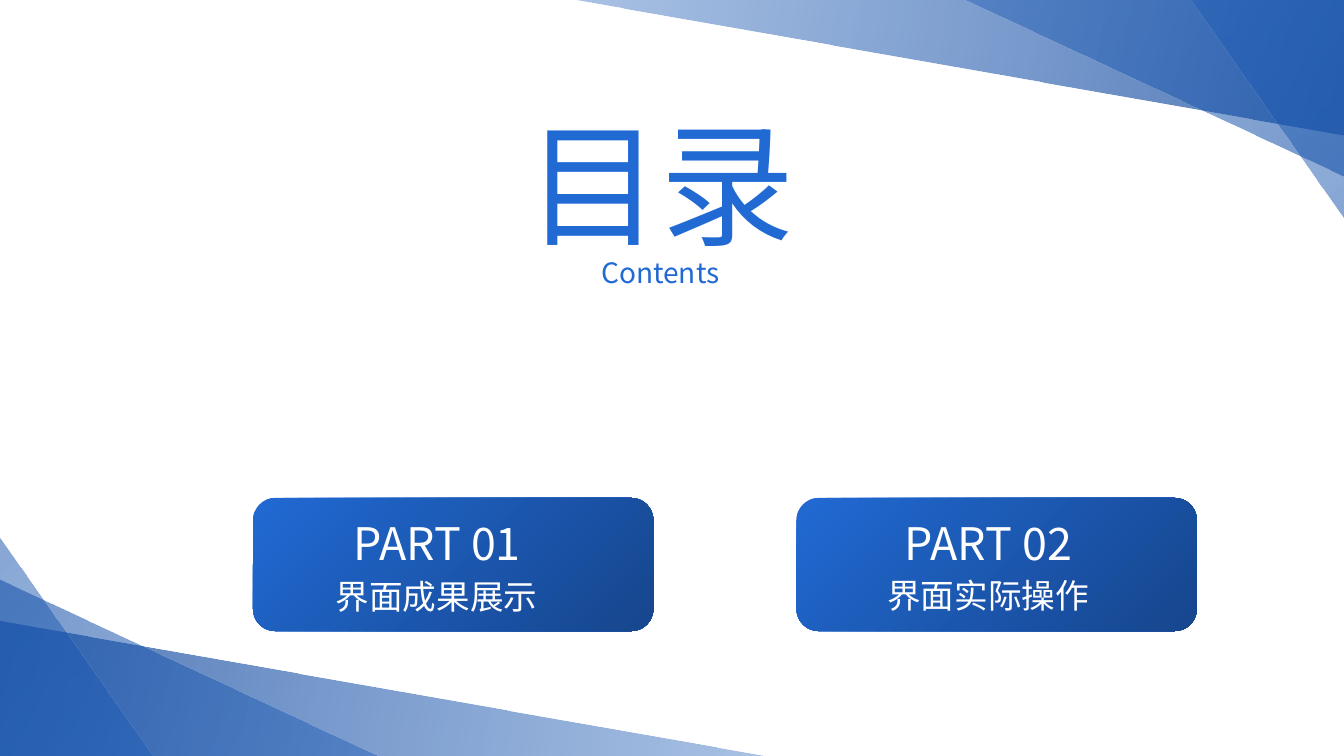
from lxml.etree import SubElement
from pptx import Presentation
from pptx.dml.color import RGBColor
from pptx.enum.shapes import MSO_SHAPE
from pptx.enum.text import MSO_ANCHOR, MSO_AUTO_SIZE, PP_ALIGN
from pptx.oxml.ns import qn
from pptx.util import Inches, Pt

SLIDE_WIDTH, SLIDE_HEIGHT = 13.33, 7.5
FONT = "Noto Sans CJK SC"
COLORS = {"bright": "2169D3", "deep": "16468D", "white": "FFFFFF"}
BANDS = [
    (-4.9, 7.04, 19.37, 4.43, 10),
    (-8.57, 6.5, 19.37, 4.43, 25),
    (-10.45, 4.8, 17.61, 4.87, 55),
]
CARDS = [
    (2.51, "PART 01", "界面成果展示", 1.82, 0.72, 3.73),
    (7.9, "PART 02", "界面实际操作", 1.9, 0.71, 2.22),
]


def color(name):
    return RGBColor.from_string(COLORS[name])


def fill_gradient(fill, angle, fade=False):
    fill.gradient()
    fill.gradient_angle = angle
    for stop, name, position in zip(fill.gradient_stops, ("bright", "deep"), (0, 1)):
        stop.color.rgb = color(name)
        stop.position = position
    if fade:
        first_color = fill._fill._gradFill.find(".//" + qn("a:srgbClr"))
        SubElement(first_color, qn("a:alpha")).set("val", "0")


def add_panel(slide, kind, box, angle, fade=False):
    shape = slide.shapes.add_shape(kind, *map(Inches, box))
    shape.shadow.inherit = False
    shape.line.fill.background()
    fill_gradient(shape.fill, angle, fade)
    return shape


def write_text(shape, text, size, white=False, wrap=False):
    frame = shape.text_frame
    frame.word_wrap = wrap
    frame.auto_size = MSO_AUTO_SIZE.SHAPE_TO_FIT_TEXT
    frame.vertical_anchor = MSO_ANCHOR.TOP
    paragraph = frame.paragraphs[0]
    paragraph.alignment = PP_ALIGN.CENTER
    run = paragraph.add_run()
    run.text = text
    run.font.size = Pt(size)
    if white:
        run.font.color.rgb = color("white")
    else:
        fill_gradient(run.font.fill, 270)
    run.font.name = FONT
    SubElement(run.font._element, qn("a:ea")).set("typeface", FONT)


def add_label(slide, box, text, size, white=False, wrap=False):
    label = slide.shapes.add_textbox(*map(Inches, box))
    write_text(label, text, size, white, wrap)


def add_corner(slide, turned):
    for left, top, width, height, rotation in BANDS:
        if turned:
            left = SLIDE_WIDTH - left - width
            top = SLIDE_HEIGHT - top - height
            rotation += 180
        band = add_panel(slide, MSO_SHAPE.PARALLELOGRAM, (left, top, width, height), 180, True)
        band.rotation = rotation


def add_heading(slide, left, top):
    title = slide.shapes.title
    title.left, title.top = Inches(left), Inches(top)
    title.width, title.height = Inches(2.87), Inches(1.72)
    write_text(title, "目录", 96)
    add_label(slide, (left + 0.36, top + 1.54, 2.14, 0.44), "Contents", 20)


def add_card(slide, left, top, part, caption, center, caption_top, caption_width):
    add_panel(slide, MSO_SHAPE.ROUNDED_RECTANGLE, (left, top, 3.97, 1.32), 315)
    middle = left + center
    add_label(slide, (middle - 1.01, top + 0.13, 2.03, 0.64), part, 32, white=True)
    caption_box = (middle - caption_width / 2, top + caption_top, caption_width, 0.5)
    add_label(slide, caption_box, caption, 24, white=True, wrap=True)


def build_contents(presentation):
    slide = presentation.slides.add_slide(presentation.slide_layouts[5])
    slide.background.fill.solid()
    slide.background.fill.fore_color.rgb = color("white")
    add_corner(slide, turned=False)
    add_corner(slide, turned=True)
    add_heading(slide, 5.12, 0.95)
    for left, *content in CARDS:
        add_card(slide, left, 4.94, *content)


def main():
    presentation = Presentation()
    presentation.slide_width = Inches(SLIDE_WIDTH)
    presentation.slide_height = Inches(SLIDE_HEIGHT)
    build_contents(presentation)
    presentation.save("out.pptx")


if __name__ == "__main__":
    main()
